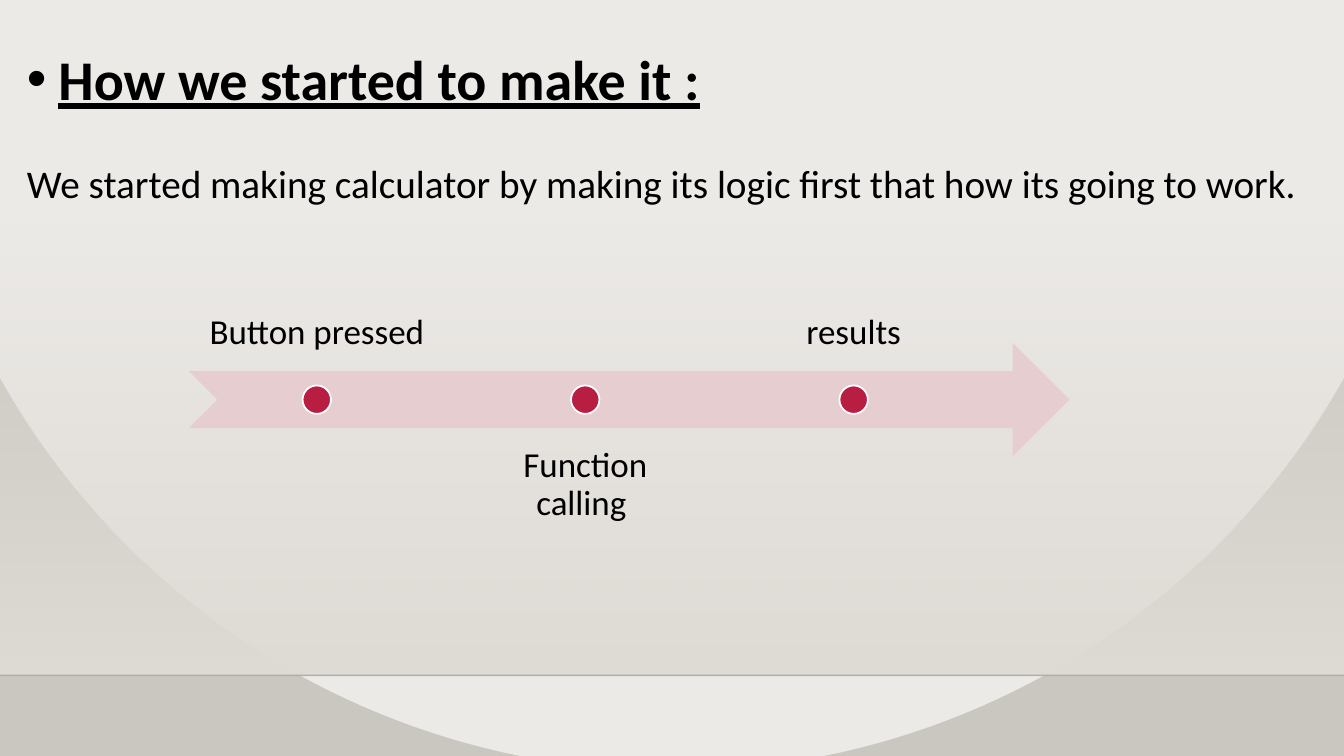
from lxml import etree
from pptx import Presentation
from pptx.dml.color import RGBColor
from pptx.enum.shapes import MSO_CONNECTOR, MSO_SHAPE
from pptx.enum.text import MSO_ANCHOR, PP_ALIGN
from pptx.oxml import parse_xml
from pptx.oxml.ns import qn
from pptx.util import Pt

HEADING = "How we started to make it :"
INTRO = "We started making calculator by making its logic first that how its going to work."
STEPS = ["Button pressed ", "Function calling ", "results"]

COLORS = {
    "text": "000000",
    "glow": "ECEAE7",
    "edge": "CAC7C1",
    "wall": "DFDBD5",
    "arrow": "E6CDCF",
    "dot": "B71E42",
    "outline": "FFFFFF",
}
FONT = "Calibri"
SLIDE_W, SLIDE_H = 960, 540
FLOOR_Y = 482.4
WALL_H = 323.3
ARROW = (134.8, 244.8, 629.2, 81.4)
FIRST_CENTER, STEP_GAP = 226.3, 191.75
DOT_SIZE = 20.3
LABEL_W, LABEL_H, LABEL_INSET = 182.9, 81.4, 13.7
LABEL_TOPS = (183.6, 306)
BULLET_INDENT = 22.5


def rgb(name):
    return RGBColor.from_string(COLORS[name])


def write(paragraph, text, size, bold=False, underline=False,
          align=PP_ALIGN.LEFT, spacing=1.0, before=0):
    paragraph.alignment = align
    paragraph.line_spacing = spacing
    paragraph.space_before = Pt(before)
    run = paragraph.add_run()
    run.text = text
    run.font.name = FONT
    run.font.size = Pt(size)
    run.font.bold = bold
    run.font.underline = underline
    run.font.color.rgb = rgb("text")


def add_frame(left, top, width, height):
    box = slide.shapes.add_textbox(Pt(left), Pt(top), Pt(width), Pt(height))
    box.text_frame.word_wrap = True
    return box.text_frame


def add_figure(kind, left, top, width, height, fill):
    figure = slide.shapes.add_shape(kind, Pt(left), Pt(top), Pt(width), Pt(height))
    figure.shadow.inherit = False
    figure.fill.solid()
    figure.fill.fore_color.rgb = rgb(fill)
    figure.line.fill.background()
    return figure


def set_gradient(fill, holder, stops, direction):
    fill.gradient()
    old = next(holder.iter(qn("a:gradFill")))
    marks = "".join(
        f'<a:gs pos="{pos * 1000}"><a:srgbClr val="{COLORS[name]}">'
        f'<a:alpha val="{alpha * 1000}"/></a:srgbClr></a:gs>'
        for pos, name, alpha in stops
    )
    new = parse_xml(
        '<a:gradFill xmlns:a="http://schemas.openxmlformats.org/drawingml/2006/main" '
        f'rotWithShape="1"><a:gsLst>{marks}</a:gsLst>{direction}</a:gradFill>'
    )
    old.getparent().replace(old, new)


deck = Presentation()
deck.slide_width, deck.slide_height = Pt(SLIDE_W), Pt(SLIDE_H)
slide = deck.slides.add_slide(deck.slide_layouts[6])

set_gradient(
    slide.background.fill, slide.element,
    [(100, "glow", 100), (100, "edge", 100)],
    '<a:path path="circle"><a:fillToRect l="43000" r="43000" b="100000"/></a:path>',
)

wall = add_figure(MSO_SHAPE.RECTANGLE, 0, FLOOR_Y - WALL_H, SLIDE_W, WALL_H, "wall")
set_gradient(
    wall.fill, wall.element,
    [(0, "wall", 0), (100, "wall", 100)],
    '<a:lin ang="5400000" scaled="0"/>',
)

floor = slide.shapes.add_connector(
    MSO_CONNECTOR.STRAIGHT, Pt(0), Pt(FLOOR_Y), Pt(SLIDE_W), Pt(FLOOR_Y))
floor.line.width = Pt(1)
floor.line.color.rgb = rgb("text")
floor_color = next(floor.element.iter(qn("a:srgbClr")))
etree.SubElement(floor_color, qn("a:alpha")).set("val", "20000")
etree.SubElement(floor.element.spPr, qn("a:effectLst"))

intro = add_frame(12.2, 28.1, 935.3, 157.7)
heading = intro.paragraphs[0]
write(heading, HEADING, 40, bold=True, underline=True)
heading_props = heading._p.get_or_add_pPr()
heading_props.set("marL", str(Pt(BULLET_INDENT)))
heading_props.set("indent", str(-Pt(BULLET_INDENT)))
etree.SubElement(heading_props, qn("a:buFont")).set("typeface", "Arial")
etree.SubElement(heading_props, qn("a:buChar")).set("char", "•")
write(intro.add_paragraph(), INTRO, 28, before=34)

add_figure(MSO_SHAPE.NOTCHED_RIGHT_ARROW, *ARROW, "arrow")
dot_top = ARROW[1] + (ARROW[3] - DOT_SIZE) / 2
for index, step in enumerate(STEPS):
    center = FIRST_CENTER + index * STEP_GAP
    below = index % 2
    label = add_frame(center - LABEL_W / 2, LABEL_TOPS[below], LABEL_W, LABEL_H)
    label.margin_left = label.margin_right = Pt(LABEL_INSET)
    label.margin_top = label.margin_bottom = Pt(LABEL_INSET)
    label.vertical_anchor = MSO_ANCHOR.TOP if below else MSO_ANCHOR.BOTTOM
    write(label.paragraphs[0], step, 25, align=PP_ALIGN.CENTER, spacing=0.9)

    dot = add_figure(MSO_SHAPE.OVAL, center - DOT_SIZE / 2, dot_top,
                     DOT_SIZE, DOT_SIZE, "dot")
    dot.line.color.rgb = rgb("outline")
    dot.line.width = Pt(1.25)

deck.save("out.pptx")
